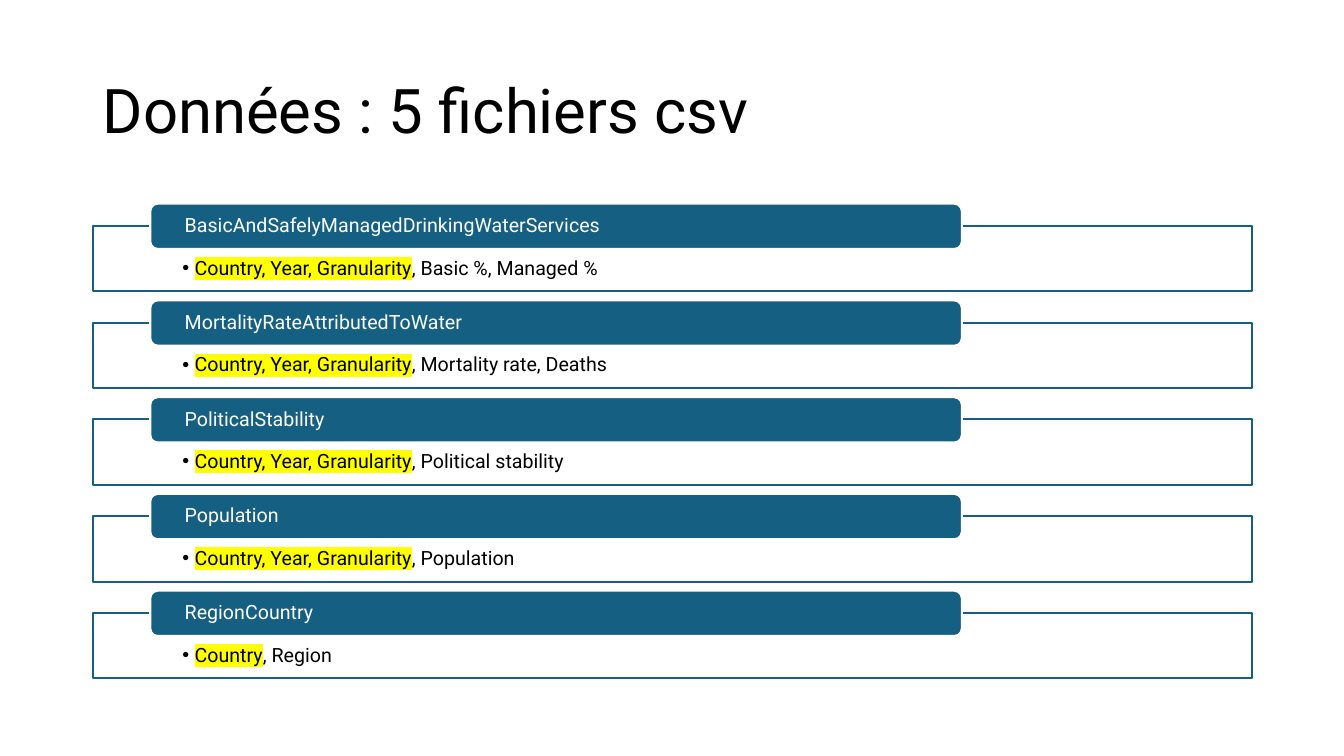
import pptx
import pptx.util
import pptx.dml.color
import pptx.enum.shapes
import pptx.enum.text
import pptx.oxml
import pptx.oxml.ns
from lxml import etree

RGB = pptx.dml.color.RGBColor
BLUE = RGB(0x15, 0x60, 0x82)
WHITE = RGB(0xFF, 0xFF, 0xFF)
BLACK = RGB(0, 0, 0)
YELLOW = RGB(0xFF, 0xFF, 0)
FONT = "Roboto"
KEYS = "Country, Year, Granularity"
FILES = [
    ("BasicAndSafelyManagedDrinkingWaterServices", KEYS, ", Basic %, Managed %"),
    ("MortalityRateAttributedToWater", KEYS, ", Mortality rate, Deaths"),
    ("PoliticalStability", KEYS, ", Political stability"),
    ("Population", KEYS, ", Population"),
    ("RegionCountry", "Country", ", Region"),
]


def px(n):
    return pptx.util.Emu(n * 9144)  # 100 px to the inch


def tag(parent, name, **attrs):
    return etree.SubElement(parent, pptx.oxml.ns.qn(name), attrs)


def write(shape, *runs, size=14, color=BLACK, pads=(10, 5, 10, 5),
          middle=True, bullet=False):
    """Each run is a pair: its words and its highlight colour or None."""
    frame = shape.text_frame
    frame.word_wrap = True
    (frame.margin_left, frame.margin_top,
     frame.margin_right, frame.margin_bottom) = map(px, pads)
    anchor = pptx.enum.text.MSO_ANCHOR
    frame.vertical_anchor = anchor.MIDDLE if middle else anchor.TOP
    para = frame.paragraphs[0]
    para.alignment = pptx.enum.text.PP_ALIGN.LEFT
    para.line_spacing = 0.9
    if bullet:
        props = para._p.get_or_add_pPr()
        props.set("marL", str(px(12)))
        props.set("indent", str(-px(12)))
        tag(props, "a:buFont", typeface="Arial")
        tag(props, "a:buChar", char="•")
    for words, mark in runs:
        run = para.add_run()
        run.text = words
        run.font.size = pptx.util.Pt(size)
        run.font.color.rgb = color
        run.font.name = FONT
        if mark is not None:
            props = run._r.get_or_add_rPr()
            glow = tag(props, "a:highlight")
            tag(glow, "a:srgbClr", val=str(mark))
            props.find(pptx.oxml.ns.qn("a:latin")).addprevious(glow)


def block(slide, kind, box, fill, line):
    shape = slide.shapes.add_shape(kind, *map(px, box))
    shape.shadow.inherit = False
    shape.fill.solid()
    shape.fill.fore_color.rgb = fill
    shape.line.color.rgb = line
    shape.line.width = pptx.util.Pt(1.5)
    return shape


def title(slide, box, words):
    write(slide.shapes.add_textbox(*map(px, box)), (words, None), size=44)


def card(slide, box, name, keys, rest):
    x, y, w, h = box
    kinds = pptx.enum.shapes.MSO_SHAPE
    # Outlined frame with the columns
    frame = block(slide, kinds.RECTANGLE, (x, y + 22, w, h - 22), WHITE, BLUE)
    shade = frame._element.spPr.find(".//" + pptx.oxml.ns.qn("a:srgbClr"))
    tag(shade, "a:alpha", val="90000")
    write(frame, (keys, YELLOW), (rest, None),
          pads=(89, 32, 89, 11), middle=False, bullet=True)
    # File name tab over the top edge
    tab = block(slide, kinds.ROUNDED_RECTANGLE,
                (x + 57, y, w * 7 // 10, 45), BLUE, WHITE)
    write(tab, (name, None), color=WHITE, pads=(32, 0, 32, 0))


def cards(slide, box, files):
    x, y, w, h = box
    gap = 9
    tall = (h + gap) // len(files) - gap
    for i, file in enumerate(files):
        card(slide, (x, y + i * (tall + gap), w, tall), *file)


def main():
    deck = pptx.Presentation()
    deck.slide_width, deck.slide_height = px(1333), px(750)
    slide = deck.slides.add_slide(deck.slide_layouts[6])
    title(slide, (92, 40, 1150, 145), "Données : 5 fichiers csv")
    cards(slide, (92, 202, 1150, 471), FILES)
    deck.save("out.pptx")


if __name__ == "__main__":
    main()
